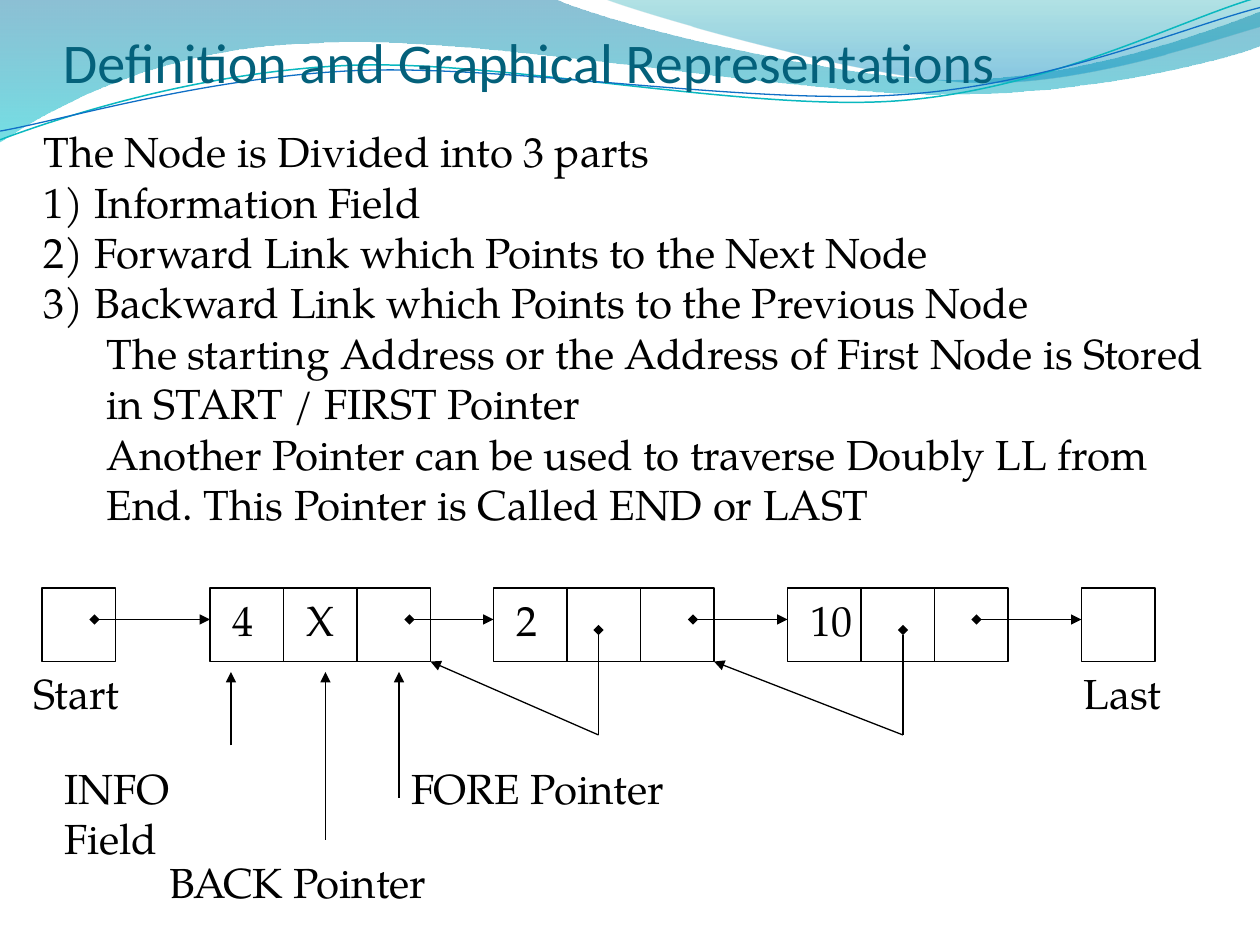
from dataclasses import dataclass

from lxml.etree import SubElement
from pptx import Presentation
from pptx.dml.color import RGBColor
from pptx.enum.shapes import MSO_CONNECTOR as Connector, MSO_SHAPE as Shape
from pptx.enum.text import MSO_ANCHOR as Anchor, MSO_AUTO_SIZE as AutoSize
from pptx.oxml.ns import qn
from pptx.util import Pt


@dataclass(frozen=True)
class Theme:
    """Colours, fonts and sizes of the slide."""
    title_font: str = "Calibri"
    body_font: str = "TeX Gyre Pagella"
    title_size: int = 32
    body_size: int = 24
    title: str = "04617B"
    ink: str = "000000"
    aqua: str = "0AB8BF"
    blue: str = "0F6FC6"
    stroke: float = 0.75
    # Gradient stops: position, colour, opacity in percent
    deep_wave: tuple = ((0, "0074A1", 45), (1, "00C6CF", 55))
    light_wave: tuple = ((0, "00A1A9", 30), (0.8, "008BBF", 45))


class SlidePainter:
    """Draws styled elements on one slide; lengths are points."""

    def __init__(self, slide, theme):
        """Keep the slide and its theme."""
        self.shapes, self.theme = slide.shapes, theme

    def outline(self, shape, colour=None, width=None):
        """Give a shape or connector a solid line."""
        shape.line.color.rgb = RGBColor.from_string(colour or self.theme.ink)
        shape.line.width = Pt(width or self.theme.stroke)

    def curve(self, start, segments, closed):
        """Add an outline of straight (one point) and cubic (three points) segments."""
        builder = self.shapes.build_freeform(*map(Pt, start))
        builder.add_line_segments([(Pt(x), Pt(y)) for segment in segments for x, y in segment],
                                  close=closed)
        shape = builder.convert_to_shape()
        shape.shadow.inherit = False
        steps = iter(list(shape.element.iter(qn("a:lnTo"))))
        for segment in segments:
            first, *others = [next(steps) for _ in segment]
            if others:
                cubic = first.makeelement(qn("a:cubicBezTo"))
                first.addprevious(cubic)
                for step in (first, *others):
                    cubic.append(step[0])
                    step.getparent().remove(step)
        return shape

    def wave(self, start, segments, stops):
        """Add a closed wave with a translucent vertical gradient."""
        shape = self.curve(start, segments, True)
        shape.line.fill.background()
        shape.fill.gradient()
        shape.fill.gradient_angle = 270
        for stop, (position, colour, _) in zip(shape.fill.gradient_stops, stops):
            stop.position = position
            stop.color.rgb = RGBColor.from_string(colour)
        for node, (_, _, opacity) in zip(shape.element.iter(qn("a:srgbClr")), stops):
            SubElement(node, qn("a:alpha"), val=str(opacity * 1000))

    def ripple(self, start, segments, colour, width):
        """Add an open curved line."""
        shape = self.curve(start, segments, False)
        shape.fill.background()
        self.outline(shape, colour, width)

    def text(self, lines, left, top, width, height, wrap=False, anchor=Anchor.TOP,
             margins=(7.2, 3.6, 7.2, 3.6), font=None, size=None, colour=None):
        """Add a text box and return its paragraphs."""
        box = self.shapes.add_textbox(Pt(left), Pt(top), Pt(width), Pt(height))
        frame = box.text_frame
        frame.text = lines
        frame.word_wrap = wrap
        frame.auto_size = AutoSize.NONE if wrap else AutoSize.SHAPE_TO_FIT_TEXT
        frame.vertical_anchor = anchor
        (frame.margin_left, frame.margin_top,
         frame.margin_right, frame.margin_bottom) = map(Pt, margins)
        for paragraph in frame.paragraphs:
            for run in paragraph.runs:
                run.font.name = font or self.theme.body_font
                run.font.size = Pt(size or self.theme.body_size)
                run.font.color.rgb = RGBColor.from_string(colour or self.theme.ink)
        return frame.paragraphs

    def cell(self, left):
        """Add one square cell of the linked list."""
        shape = self.shapes.add_shape(Shape.RECTANGLE, Pt(left), Pt(ROW), Pt(CELL), Pt(CELL))
        shape.shadow.inherit = False
        shape.fill.background()
        self.outline(shape)

    def line(self, begin, end, head=None, tail=None):
        """Add a straight line with optional end marks."""
        connector = self.shapes.add_connector(Connector.STRAIGHT, *map(Pt, (*begin, *end)))
        self.outline(connector)
        properties = connector.element.spPr
        stroke = properties.find(qn("a:ln"))
        for tag, mark in (("a:headEnd", head), ("a:tailEnd", tail)):
            if mark:
                SubElement(stroke, qn(tag), type=mark)
        SubElement(properties, qn("a:effectLst"))


CELL, ROW = 42, 336
NODES = (120, 282, 450)
START, LAST = 24, 618


def draw_background(painter):
    """Draw the waves and ripples along the top."""
    theme = painter.theme
    painter.wave((0, 0), [
        [(316.8, -0.7)],
        [(342.7, 12.2), (478.1, 45.4), (545.8, 45.4)],
        [(614.2, 45.4), (689.8, 18.7), (720, 6.5)],
        [(720.7, 25.9)],
        [(707.8, 31.7), (626.4, 54.7), (537.1, 54)],
        [(447.8, 54), (275, 20.2), (185, 24.5)],
        [(92.9, 25.9), (33.1, 59.8), (-0.7, 81.4)],
        [(0, 0)]], theme.deep_wave)
    painter.wave((344.9, -0.7), [
        [(366.5, 7.9), (491, 44.6), (553.7, 46.8)],
        [(616.3, 49.7), (691.9, 23), (720, 15.1)],
        [(720, 0)],
        [(344.9, -0.7)]], theme.light_wave)
    painter.ripple((0, 79.9), [
        [(34.6, 67), (113.8, 41), (199.4, 37.4)],
        [(284.4, 33.8), (427, 64.1), (513.4, 57.6)],
        [(599.8, 51.1), (675.4, 10.8), (718.6, -1.4)]], theme.aqua, 0.85)
    painter.ripple((0, 74.9), [
        [(33.8, 69.1), (118.1, 43.9), (203.8, 40.3)],
        [(290.2, 36.7), (429.8, 60.5), (516.2, 54)],
        [(601.9, 48.2), (677.5, 15.1), (720, 4.3)]], theme.blue, 0.75)


def draw_text(painter):
    """Write the title and the explanation."""
    theme = painter.theme
    painter.text("Definition and Graphical Representations", 36, 0, 648, 54, wrap=True,
                 anchor=Anchor.BOTTOM, margins=(0, 3.6, 0, 0), font=theme.title_font,
                 size=theme.title_size, colour=theme.title)
    paragraphs = painter.text("\n".join((
        "The Node is Divided into 3 parts",
        "1) Information Field",
        "2) Forward Link which Points to the Next Node",
        "3) Backward Link which Points to the Previous Node",
        "The starting Address or the Address of First Node is Stored in START / FIRST Pointer",
        "Another Pointer can be used to traverse Doubly LL from End. "
        "This Pointer is Called END or LAST")),
        18, 72, 678, 230, wrap=True, anchor=Anchor.MIDDLE, margins=(7.2, 0, 7.2, 0))
    for paragraph in paragraphs[4:]:
        paragraph.level = 1
        indent = paragraph._p.get_or_add_pPr()
        indent.set("marL", str(Pt(36)))
        indent.set("indent", "0")


def draw_list(painter):
    """Draw the doubly linked list with its links and labels."""
    for left in (START, *(node + CELL * i for node in NODES for i in range(3)), LAST):
        painter.cell(left)
    for begin, end in zip((54, 234, 396, 558), (*NODES, LAST)):
        painter.line((begin, 354), (end, 354), "diamond", "triangle")
    for x, node in zip((342, 516), NODES):
        painter.line((x, 360), (x, 420), head="diamond")
        painter.line((x, 420), (node + 3 * CELL, ROW + CELL), tail="triangle")
    for x, bottom in ((132, 426), (186, 480), (228, 456)):
        painter.line((x, bottom), (x, 384), tail="triangle")
    for label, left, top, width in (
            ("4", 126, ROW, 28), ("X", 168, ROW, 30), ("2", 288, ROW, 28),
            ("10", 456, ROW, 41), ("Start", 12, 378, 65), ("Last", 612, 378, 60),
            ("BACK Pointer", 90, 486, 163), ("FORE Pointer", 228, 432, 164)):
        painter.text(label, left, top, width, 36)
    painter.text("INFO Field", 30, 432, 130, 36, wrap=True)


def main():
    """Build and save the presentation."""
    presentation = Presentation()
    presentation.slide_width, presentation.slide_height = Pt(720), Pt(540)
    slide = presentation.slides.add_slide(presentation.slide_layouts[6])
    painter = SlidePainter(slide, Theme())
    for draw in (draw_background, draw_text, draw_list):
        draw(painter)
    presentation.save("out.pptx")


main()
